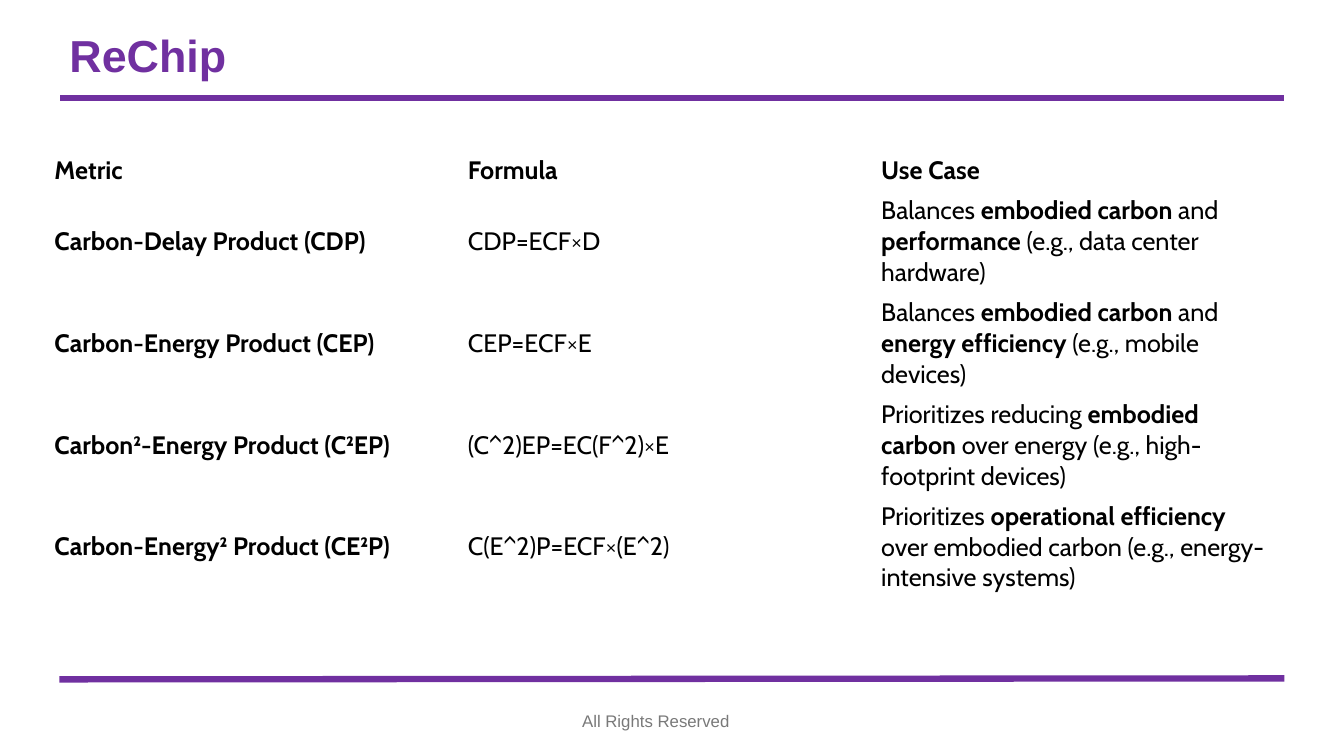
from lxml.etree import SubElement
from pptx import Presentation
from pptx.dml.color import RGBColor
from pptx.enum.shapes import MSO_CONNECTOR
from pptx.enum.text import MSO_ANCHOR, PP_ALIGN
from pptx.oxml.ns import qn
from pptx.util import Inches, Pt

COLORS = {"rule": "7030A0", "text": "000000", "foot": "797979"}

# Asterisks enclose bold words
ROWS = [
    ("*Metric*", "*Formula*", "*Use Case*"),
    ("*Carbon-Delay Product (CDP)*", "CDP=ECF×D",
     "Balances *embodied carbon* and *performance* (e.g., data center hardware)"),
    ("*Carbon-Energy Product (CEP)*", "CEP=ECF×E",
     "Balances *embodied carbon* and *energy efficiency* (e.g., mobile devices)"),
    ("*Carbon²-Energy Product (C²EP)*", "(C^2)EP=EC(F^2)×E",
     "Prioritizes reducing *embodied carbon* over energy (e.g., high-footprint devices)"),
    ("*Carbon-Energy² Product (CE²P)*", "C(E^2)P=ECF×(E^2)",
     "Prioritizes *operational efficiency* over embodied carbon"
     " (e.g., energy-intensive systems)"),
]


def add_runs(para, text, font, size, color):
    for i, part in enumerate(text.split("*")):
        if part:
            run = para.add_run()
            run.text = part
            run.font.name = font
            run.font.size = Pt(size)
            run.font.bold = i % 2 == 1
            run.font.color.rgb = RGBColor.from_string(COLORS[color])


def add_label(slide, box, text, size, color, align):
    frame = slide.shapes.add_textbox(*map(Inches, box)).text_frame
    frame.word_wrap = True
    frame.vertical_anchor = MSO_ANCHOR.MIDDLE
    para = frame.paragraphs[0]
    para.alignment = align
    add_runs(para, text, "Arial", size, color)
    return para


def add_rule(slide, left, top, right, end):
    line = slide.shapes.add_connector(
        MSO_CONNECTOR.STRAIGHT, *map(Inches, (left, top, right, end)))
    line.line.color.rgb = RGBColor.from_string(COLORS["rule"])
    line.line.width = Pt(4.5)
    SubElement(line._element.spPr, qn("a:effectLst"))


def add_head(slide, left, top, width, height):
    para = add_label(slide, (left, top, width, height), "*ReChip*", 32,
                     "rule", PP_ALIGN.LEFT)
    para.line_spacing = 0.9
    rule = top + height - 0.03
    add_rule(slide, left + 0.01, rule, left + width, rule)


def add_grid(slide, left, top, width, head, body):
    height = head + body * (len(ROWS) - 1)
    table = slide.shapes.add_table(
        len(ROWS), len(ROWS[0]),
        *map(Inches, (left, top, width, height))).table
    table.first_row = table.horz_banding = False
    for r, row in enumerate(ROWS):
        table.rows[r].height = Inches(body if r else head)
        for c, text in enumerate(row):
            cell = table.cell(r, c)
            cell.fill.background()
            cell.vertical_anchor = MSO_ANCHOR.MIDDLE
            add_runs(cell.text_frame.paragraphs[0], text, "Cabin", 18, "text")


def add_foot(slide, left, top, width, height):
    add_rule(slide, left, top, left + width, top - 0.01)
    label = 4.5
    box = (left + (width - label) / 2 - 0.16, top + 0.21, label, height)
    add_label(slide, box, "All Rights Reserved", 12, "foot", PP_ALIGN.CENTER)


def main():
    deck = Presentation()
    deck.slide_width, deck.slide_height = Inches(13.33), Inches(7.5)
    slide = deck.slides.add_slide(deck.slide_layouts[6])
    # Title, metrics table, footer
    add_head(slide, 0.59, 0.15, 12.15, 0.85)
    add_grid(slide, 0.44, 1.49, 12.3, 0.4, 1.01)
    add_foot(slide, 0.59, 6.74, 12.15, 0.4)
    deck.save("out.pptx")


if __name__ == "__main__":
    main()
